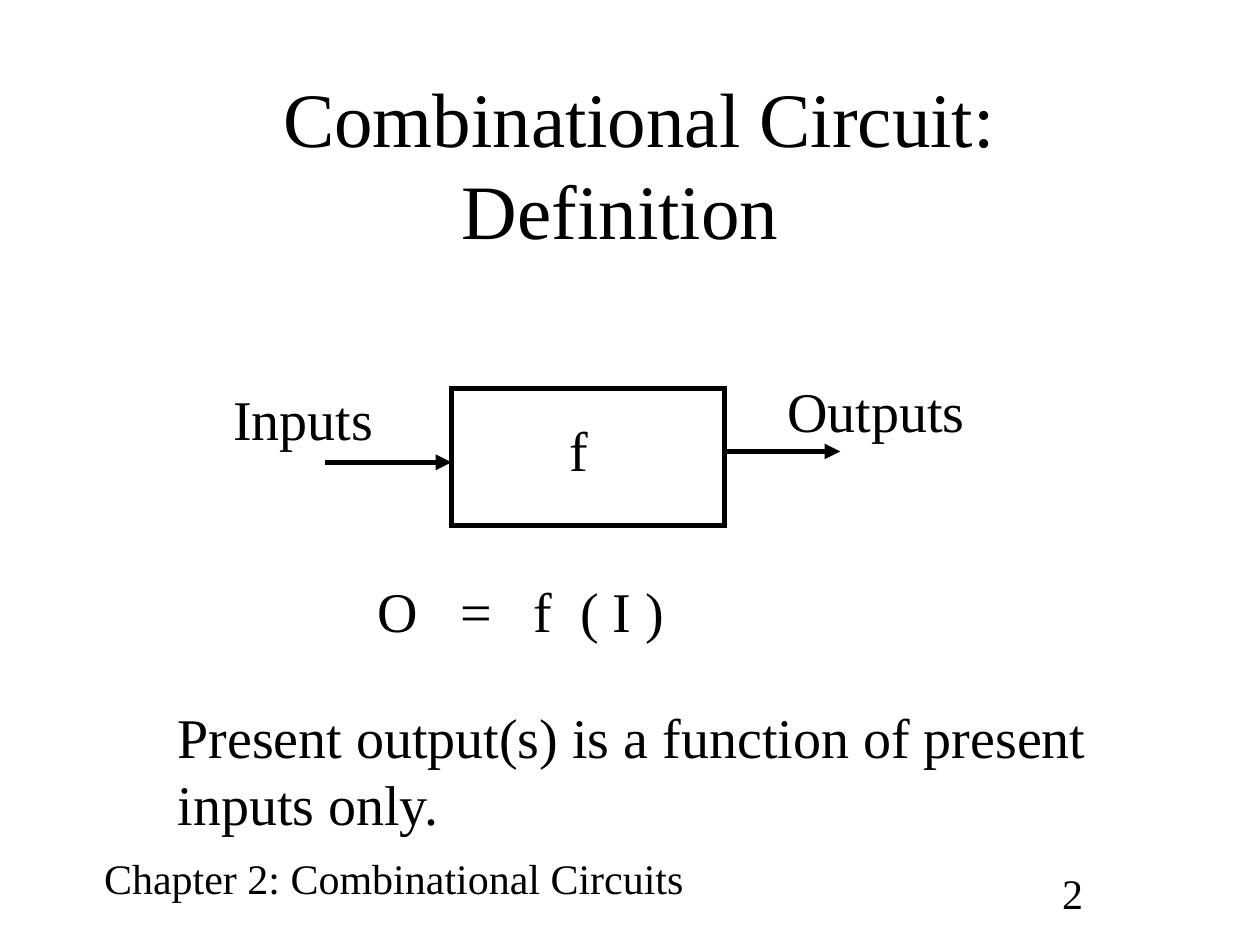
from lxml import etree
from pptx import Presentation
from pptx.dml.color import RGBColor
from pptx.enum.shapes import MSO_CONNECTOR, MSO_SHAPE
from pptx.enum.text import MSO_ANCHOR, MSO_AUTO_SIZE, PP_ALIGN
from pptx.oxml.ns import qn
from pptx.util import Cm, Pt

STRAIGHT = MSO_CONNECTOR.STRAIGHT
RECTANGLE = MSO_SHAPE.RECTANGLE
MIDDLE = MSO_ANCHOR.MIDDLE
NO_FIT = MSO_AUTO_SIZE.NONE
CENTER = PP_ALIGN.CENTER
FONT = "Times New Roman"
INK = "000000"
LINE_WIDTH = 3


def color(hex_text):
    """Turn a hex string into a colour."""
    return RGBColor.from_string(hex_text)


def add_span(para, text, size):
    """Add one formatted run to a paragraph."""
    span = para.add_run()
    span.text = text
    span.font.name = FONT
    span.font.size = Pt(size)
    span.font.color.rgb = color(INK)


def add_text(page, box, lines, size=32, wrap=False):
    """Add a text box with one paragraph per line and return its paragraphs."""
    frame = page.shapes.add_textbox(*map(Cm, box)).text_frame
    frame.word_wrap = wrap
    for index, line in enumerate(lines):
        para = frame.add_paragraph() if index else frame.paragraphs[0]
        add_span(para, line, size)
    return frame.paragraphs


def style_line(shape, tag, **attributes):
    """Give a shape a solid dark line with one extra line property."""
    shape.line.color.rgb = color(INK)
    shape.line.width = Pt(LINE_WIDTH)
    etree.SubElement(shape.line._get_or_add_ln(), qn(tag), **attributes)


def add_arrow(page, left, right, y):
    """Draw a horizontal arrow pointing right."""
    arrow = page.shapes.add_connector(STRAIGHT, Cm(left), Cm(y), Cm(right), Cm(y))
    style_line(arrow, "a:tailEnd", type="triangle")
    etree.SubElement(arrow._element.spPr, qn("a:effectLst"))


def fill_title(page, box):
    """Place and fill the title placeholder."""
    title = page.shapes.title
    title.left, title.top, title.width, title.height = map(Cm, box)
    frame = title.text_frame
    frame.word_wrap = True
    frame.auto_size = NO_FIT
    frame.vertical_anchor = MIDDLE
    para = frame.paragraphs[0]
    para.alignment = CENTER
    add_span(para, " Combinational Circuit: Definition ", 44)


def add_diagram(page, box):
    """Draw the function block with its input and output arrows."""
    left, top, width, height = box
    block_left, block_width = left + 4.65, 5.5
    block_right = block_left + block_width
    block = page.shapes.add_shape(
        RECTANGLE, Cm(block_left), Cm(top + 0.36), Cm(block_width), Cm(height - 0.36)
    )
    block.shadow.inherit = False
    block.fill.background()
    style_line(block, "a:miter", lim="800000")
    add_arrow(page, block_left - 2.54, block_left, top + 1.85)
    add_arrow(page, block_right, block_right + 2.34, top + 1.63)
    labels = [("Inputs", 0, 0.15, 3.33), ("Outputs", 11.17, 0, width - 11.17),
              ("f", 6.78, 0.79, 0.9)]
    for text, x, y, label_width in labels:
        add_text(page, (left + x, top + y, label_width, 1.63), [text])


def add_formula(page, box):
    """Write the formula with its terms set on tab stops."""
    para = add_text(page, box, ["O\t=\tf\t( I )"], wrap=True)[0]
    stops = etree.SubElement(para._p.get_or_add_pPr(), qn("a:tabLst"))
    for position in (1.66, 3.13, 4.08):
        etree.SubElement(stops, qn("a:tab"), pos=str(Cm(position)), algn="l")


def add_footer(page, box):
    """Write the chapter name and the page number."""
    left, top, width, height = box
    number_width = 2.34
    add_text(page, (left, top, 12.4, height), ["Chapter 2: Combinational Circuits"], 24)
    number_box = (left + width - number_width, top + 0.31, number_width, height)
    add_text(page, number_box, ["2"], 24, wrap=True)


def main():
    """Build the slide and save it."""
    deck = Presentation()
    deck.slide_width, deck.slide_height = Cm(25.4), Cm(19.05)
    page = deck.slides.add_slide(deck.slide_layouts[5])
    fill_title(page, (1.9, 1.69, 21.6, 3.18))
    add_diagram(page, (4.45, 7.47, 15.26, 3.12))
    add_formula(page, (7.37, 11.5, 6.3, 1.63))
    statement = ["Present output(s) is a function of present", "inputs only."]
    add_text(page, (3.33, 14.04, 19.2, 2.97), statement, wrap=True)
    add_footer(page, (1.85, 17.06, 21.65, 1.27))
    deck.save("out.pptx")


if __name__ == "__main__":
    main()
